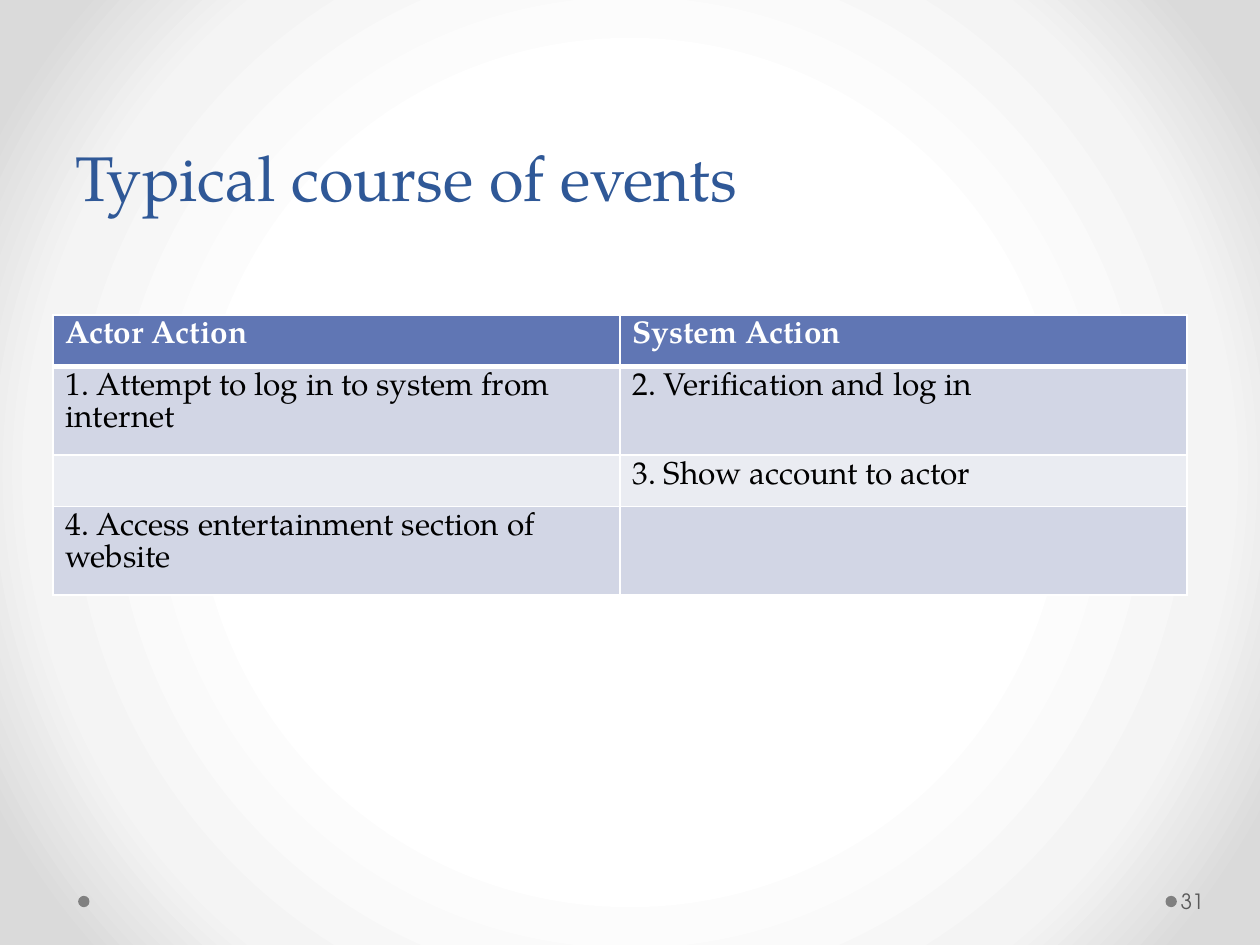
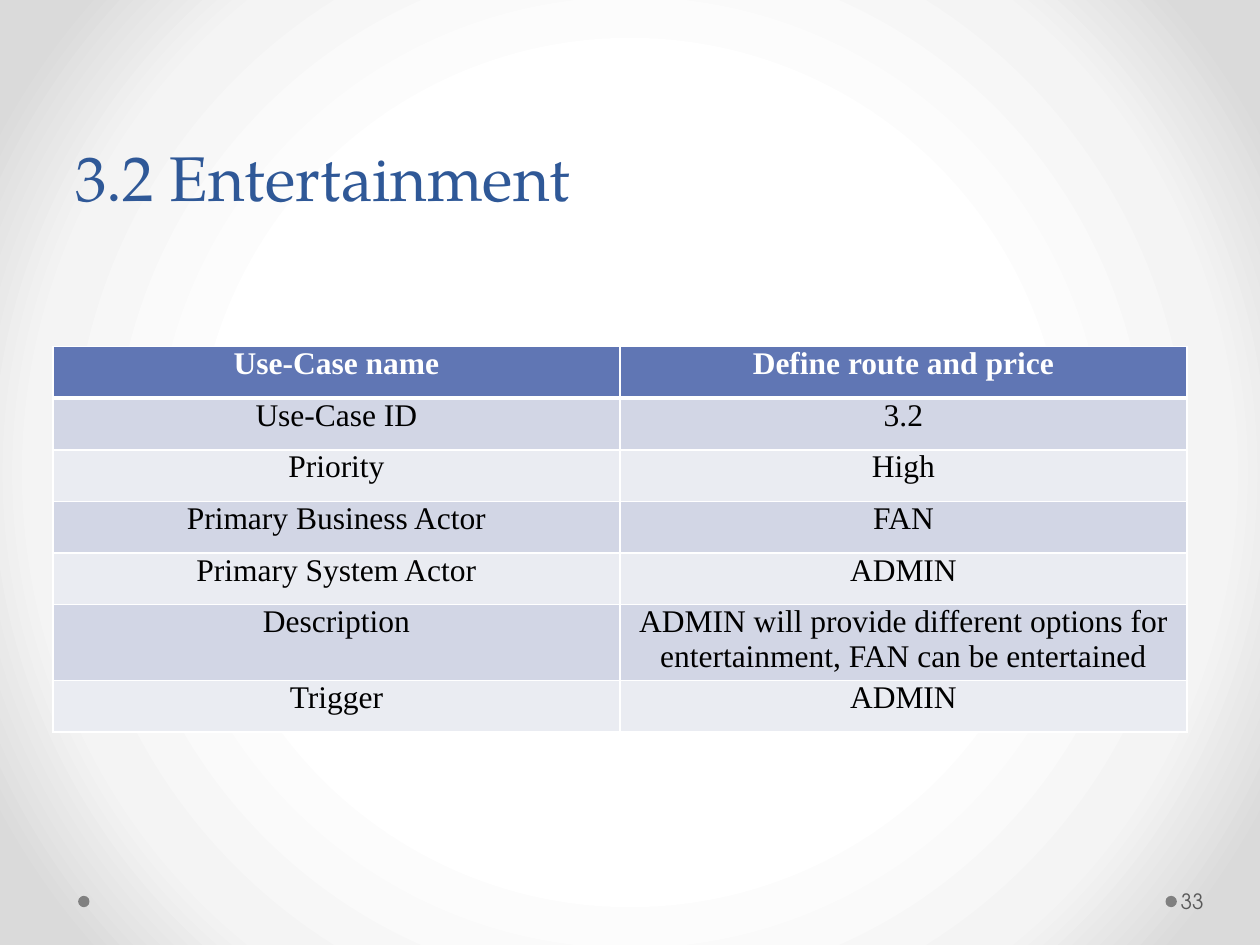
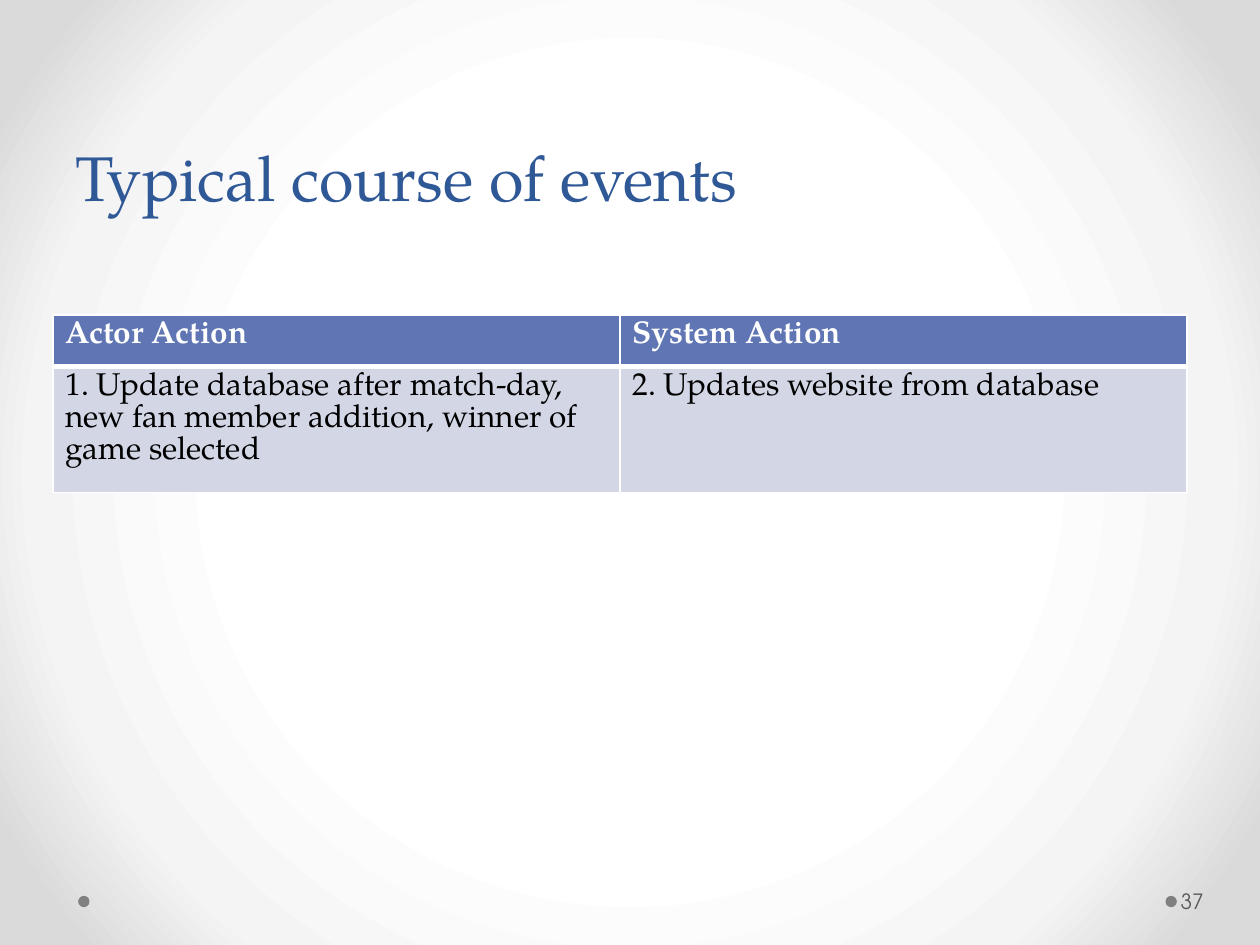
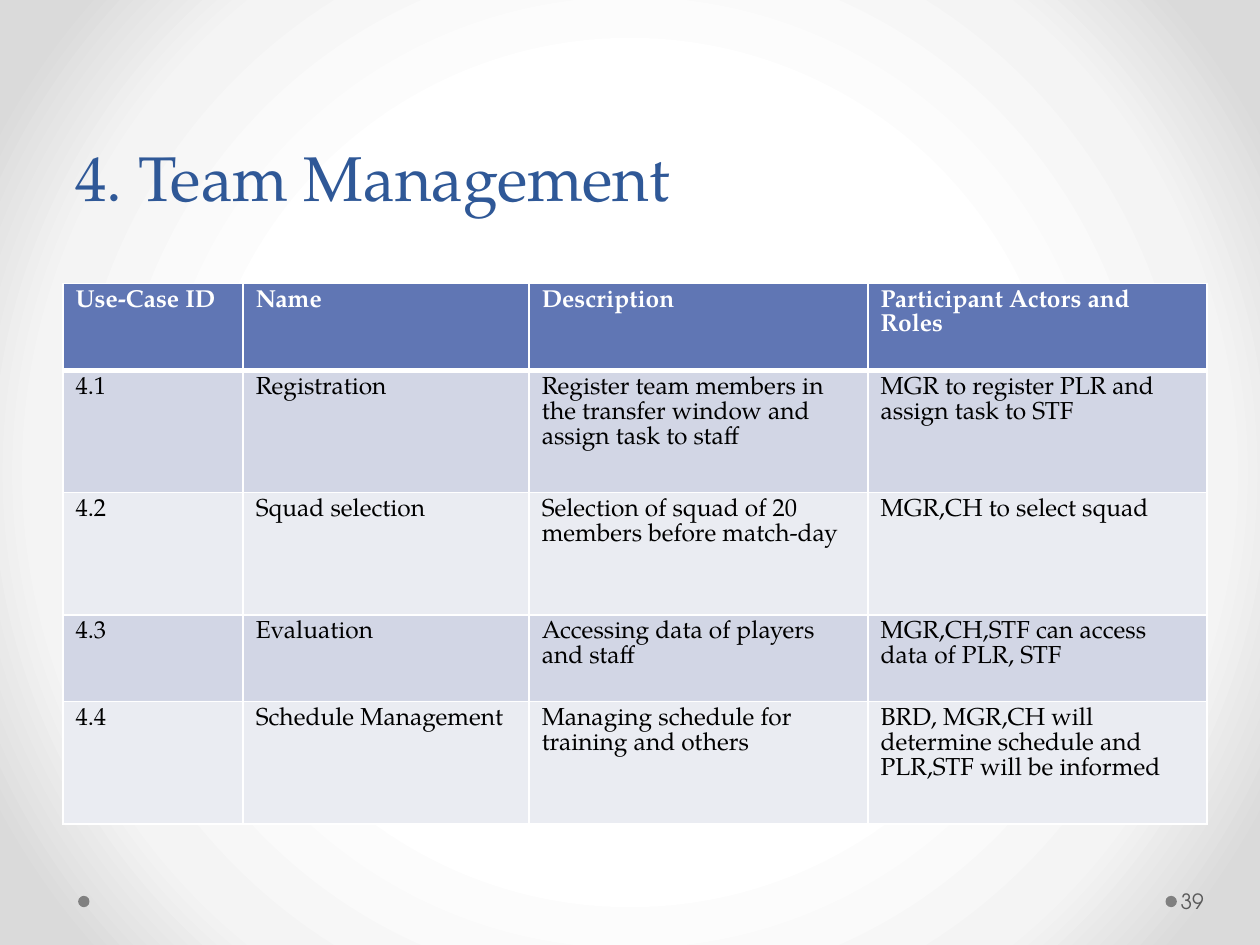
from lxml import etree
from pptx import Presentation
from pptx import util as u
from pptx.dml.color import RGBColor
from pptx.enum import shapes, text
from pptx.oxml import parse_xml
from pptx.oxml.ns import nsdecls, qn

# Shared look
TITLE_BLUE, HEADER_BLUE = "2F5897", "6076B4"
BAND_FILLS = ("D2D6E5", "EAECF2")
WHITE, BLACK, DOT_GREY, NUMBER_GREY = "FFFFFF", "000000", "808080", "595959"
BACKGROUND_STOPS = ((50, "FFFFFF"), (76, "F4F4F4"), (92, "DADADA"))
SERIF, SANS, TIMES = "TeX Gyre Pagella", "TeX Gyre Adventor", "Times New Roman"

# The slide is a grid of 40 columns and 30 rows of quarter inches
UNIT = 0.25
COLUMNS, ROWS = 40, 30
LINE_ROW = 1.64  # height of a one-line table row


def grid(count):
    return u.Inches(count * UNIT)


def box(*counts):
    return [grid(count) for count in counts]


def color(hex_string):
    return RGBColor.from_string(hex_string)


def add_run(paragraph, words, size, font_name, hex_string, bold=False):
    run = paragraph.add_run()
    run.text = words
    font = run.font
    font.size, font.name, font.bold = u.Pt(size), font_name, bold
    font.color.rgb = color(hex_string)


def set_background(master):
    """Radial gradient, white in the middle, behind every slide."""
    master.background.fill.gradient()
    gradient = master.element.find(".//" + qn("a:gradFill"))
    stops = "".join(
        f'<a:gs pos="{share * 1000}"><a:srgbClr val="{hex_string}"/></a:gs>'
        for share, hex_string in BACKGROUND_STOPS)
    radial = parse_xml(
        f'<a:gradFill {nsdecls("a")} rotWithShape="1"><a:gsLst>{stops}</a:gsLst>'
        '<a:path path="circle"><a:fillToRect l="50000" t="50000" r="50000" b="50000"/>'
        '</a:path></a:gradFill>')
    gradient.getparent().replace(gradient, radial)


def add_text_box(slide, place, anchor):
    frame = slide.shapes.add_textbox(*box(*place)).text_frame
    frame.word_wrap = True
    frame.vertical_anchor = anchor
    return frame


def add_title(slide, words):
    frame = add_text_box(slide, (2, 0, 36, 7), text.MSO_ANCHOR.BOTTOM)
    paragraph = frame.paragraphs[0]
    paragraph.line_spacing = u.Pt(58)
    add_run(paragraph, words, 36, SERIF, TITLE_BLUE)


def add_footer(slide, number):
    for left in (37, 2.48):
        dot = slide.shapes.add_shape(shapes.MSO_SHAPE.OVAL, *box(left, 28.44, 0.36, 0.36))
        dot.shadow.inherit = False
        dot.fill.solid()
        dot.fill.fore_color.rgb = color(DOT_GREY)
        dot.line.fill.background()
    frame = add_text_box(slide, (37.36, 27.8, 2.44, 1.6), text.MSO_ANCHOR.MIDDLE)
    frame.margin_left = u.Inches(0.03)
    frame.margin_right = u.Inches(0.05)
    add_run(frame.paragraphs[0], str(number), 12, SANS, NUMBER_GREY)


def set_borders(cell, top, bottom):
    """White borders, one point wide at the sides; lines precede the fill."""
    properties = cell._tc.get_or_add_tcPr()
    widths = (("lnL", 1), ("lnR", 1), ("lnT", top), ("lnB", bottom))
    for index, (tag, width) in enumerate(widths):
        line = etree.Element(qn("a:" + tag), w=str(u.Pt(width)))
        fill = etree.SubElement(line, qn("a:solidFill"))
        etree.SubElement(fill, qn("a:srgbClr"), val=WHITE)
        properties.insert(index, line)


def add_table(slide, corner, widths, heights, content, size=18,
              font_name=SERIF, centered=False):
    frame = slide.shapes.add_table(len(heights), len(widths),
                                   *box(*corner, sum(widths), sum(heights)))
    table = frame.table
    table.horz_banding = False
    for column, width in zip(table.columns, widths):
        column.width = grid(width)
    for row_index, (row, height, entries) in enumerate(zip(table.rows, heights, content)):
        row.height = grid(height)
        header = row_index == 0
        fill = HEADER_BLUE if header else BAND_FILLS[(row_index - 1) % 2]
        for cell, words in zip(row.cells, entries):
            cell.fill.solid()
            cell.fill.fore_color.rgb = color(fill)
            set_borders(cell, 3 if row_index == 1 else 1, 3 if header else 1)
            paragraph = cell.text_frame.paragraphs[0]
            if centered:
                cell.margin_left = cell.margin_right = u.Inches(0.07)
                cell.margin_top = cell.margin_bottom = 0
                paragraph.alignment = text.PP_ALIGN.CENTER
            if words:
                add_run(paragraph, words, size, font_name,
                        WHITE if header else BLACK, header)


def add_events_table(slide, steps):
    content = [("Actor Action", "System Action")] + steps
    add_table(slide, (1.68, 10), (18, 18), [LINE_ROW] * len(content), content)


def main():
    presentation = Presentation()
    presentation.slide_width, presentation.slide_height = box(COLUMNS, ROWS)
    set_background(presentation.slide_master)

    def new_slide(title, number):
        slide = presentation.slides.add_slide(presentation.slide_layouts[6])
        add_footer(slide, number)
        add_title(slide, title)
        return slide

    # Events of the account use case
    add_events_table(new_slide("Typical course of events", 31), [
        ("1. Attempt to log in to system from internet", "2. Verification and log in"),
        ("", "3. Show account to actor"),
        ("4. Access entertainment section of website", ""),
    ])

    # Use-case card
    card = [
        ("Use-Case name", "Define route and price"),
        ("Use-Case ID", "3.2"),
        ("Priority", "High"),
        ("Primary Business Actor", "FAN"),
        ("Primary System Actor", "ADMIN"),
        ("Description", "ADMIN will provide different options for entertainment, "
                        "FAN can be entertained"),
        ("Trigger", "ADMIN"),
    ]
    add_table(new_slide("3.2 Entertainment", 33), (1.68, 11), (18, 18),
              [LINE_ROW] * len(card), card, font_name=TIMES, centered=True)

    # Events of the update use case
    add_events_table(new_slide("Typical course of events", 37), [
        ("1. Update database after match-day, new fan member addition, "
         "winner of game selected", "2. Updates website from database"),
    ])

    # Overview of team use cases
    short, tall = 2.76, 3.88
    add_table(new_slide("4. Team Management", 39), (2, 9), (5.72, 9.08, 10.76, 10.76),
              (short, tall, tall, short, tall), [
        ("Use-Case ID", "Name", "Description", "Participant Actors and Roles"),
        ("4.1", "Registration",
         "Register team members in the transfer window and assign task to staff",
         "MGR to register PLR and assign task to STF"),
        ("4.2", "Squad selection", "Selection of squad of 20 members before match-day",
         "MGR,CH to select squad"),
        ("4.3", "Evaluation", "Accessing data of players and staff",
         "MGR,CH,STF can access data of PLR, STF"),
        ("4.4", "Schedule Management", "Managing schedule for training and others",
         "BRD, MGR,CH will determine schedule and PLR,STF will be informed"),
    ], size=14)

    presentation.save("out.pptx")


if __name__ == "__main__":
    main()
